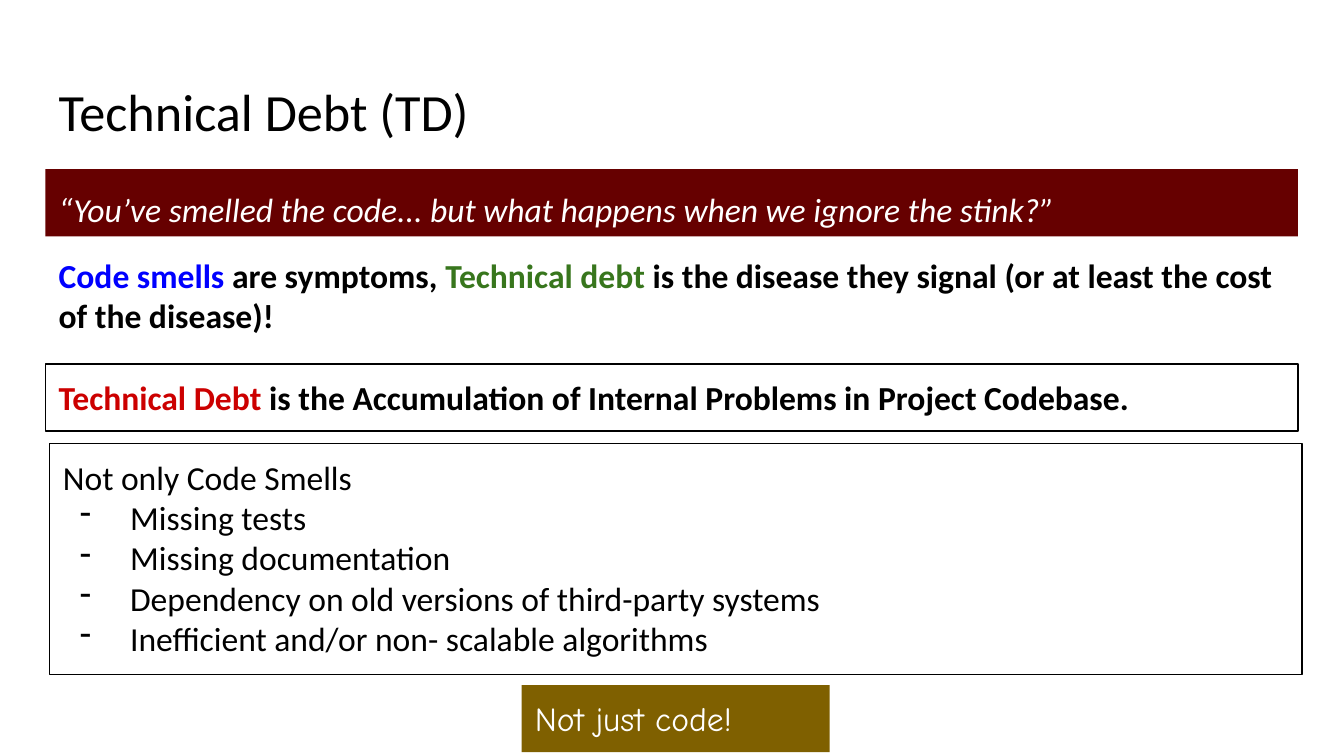
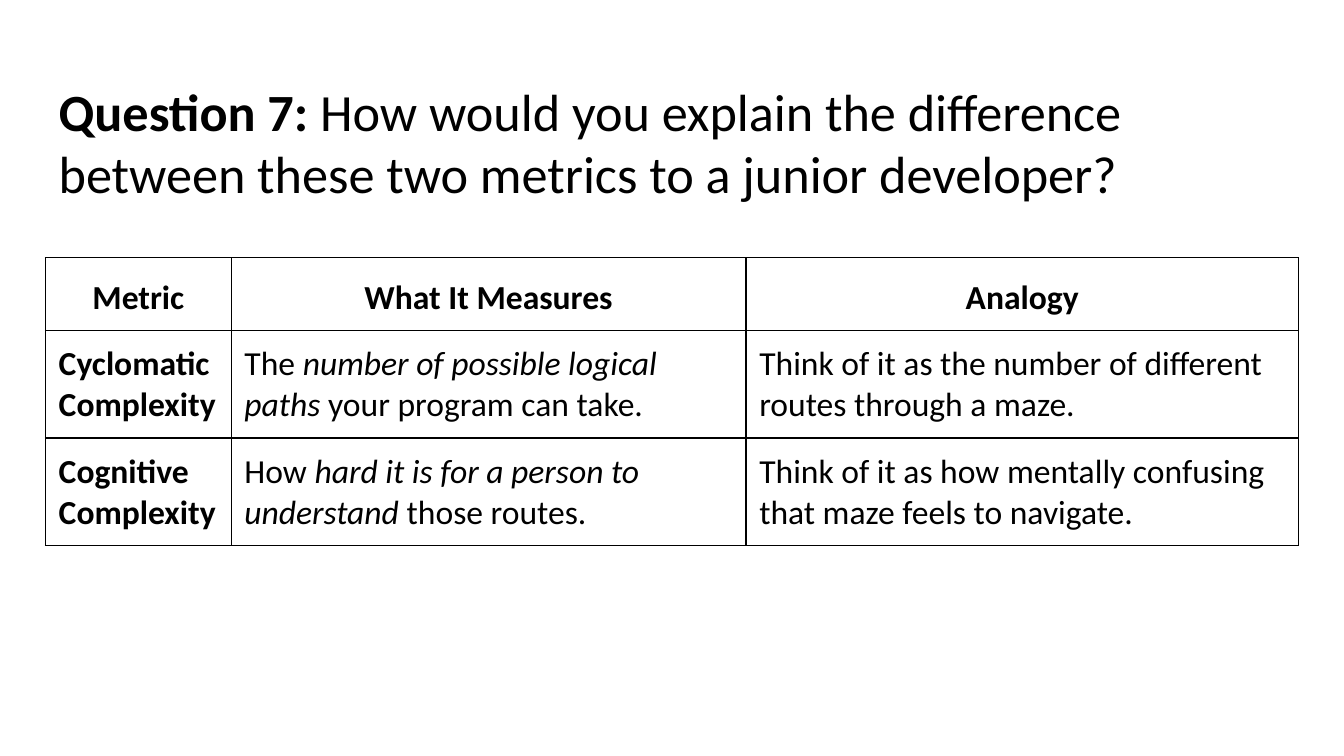
"""Build two slides on technical debt and complexity metrics."""
from lxml.etree import SubElement
from pptx import Presentation
from pptx.dml.color import RGBColor
from pptx.enum.shapes import MSO_SHAPE
from pptx.enum.text import MSO_ANCHOR, PP_ALIGN
from pptx.oxml.ns import qn
from pptx.util import Cm, Pt

BLACK = RGBColor(0x00, 0x00, 0x00)
WHITE = RGBColor(0xFF, 0xFF, 0xFF)
MAROON = RGBColor(0x66, 0x00, 0x00)
OLIVE = RGBColor(0x7F, 0x60, 0x00)
BLUE = RGBColor(0x00, 0x00, 0xFF)
GREEN = RGBColor(0x38, 0x76, 0x1D)
RED = RGBColor(0xCC, 0x00, 0x00)
FONT = "Calibri"
LEFT, WIDTH, PAD = Cm(0.86), Cm(23.67), Cm(0.25)


def write(par, runs, size=18, color=BLACK, face=FONT, **style):
    """Fill a paragraph with (text, own style) runs over a shared style."""
    font = par.font
    font.name, font.size = face, Pt(size)
    font.color.rgb = color
    for key, value in style.items():
        setattr(font, key, value)
    par.alignment = PP_ALIGN.LEFT
    for text, own in runs:
        run = par.add_run()
        run.text = text
        for key, value in own.items():
            if key == "color":
                run.font.color.rgb = value
            else:
                setattr(run.font, key, value)


def box(slide, top, height, left=LEFT, width=WIDTH, fill=None, line=None):
    """Add a padded box and return its text frame."""
    area = left, Cm(top), width, Cm(height)
    if fill is None and line is None:
        shape = slide.shapes.add_textbox(*area)
    else:
        shape = slide.shapes.add_shape(MSO_SHAPE.RECTANGLE, *area)
        shape.shadow.inherit = False
        if fill is None:
            shape.fill.background()
        else:
            shape.fill.solid()
            shape.fill.fore_color.rgb = fill
        if line is None:
            shape.line.fill.background()
        else:
            shape.line.color.rgb = line
            shape.line.width = Pt(0.75)
    frame = shape.text_frame
    frame.word_wrap = True
    frame.vertical_anchor = MSO_ANCHOR.TOP
    frame.margin_left = frame.margin_right = PAD
    frame.margin_top = frame.margin_bottom = PAD
    return frame


deck = Presentation()
deck.slide_width, deck.slide_height = Cm(25.4), Cm(14.29)
blank = deck.slide_layouts[6]

titles = [
    (1.7, [("Technical Debt (TD)", {})]),
    (2.9, [("Question 7: ", {"bold": True}),
           ("How would you explain the difference between these two "
            "metrics to a junior developer?", {})]),
]
slides = []
for height, runs in titles:
    slide = deck.slides.add_slide(blank)
    write(box(slide, 1.24, height).paragraphs[0], runs, 28)
    slides.append(slide)
debt, metrics = slides

quote = box(debt, 3.2, 1.27, fill=MAROON).paragraphs[0]
write(quote, [("“You’ve smelled the code... but what happens when we "
               "ignore the stink?”", {})], color=WHITE, italic=True)
quote.line_spacing, quote.space_after = 1.15, Pt(12)

claim = box(debt, 4.57, 2.06).paragraphs[0]
write(claim, [
    ("Code smells", {"color": BLUE}),
    (" are symptoms, ", {}),
    ("Technical debt", {"color": GREEN}),
    (" is the disease they signal (or at least the cost of the disease)!", {}),
], bold=True)

meaning = box(debt, 6.88, 1.27, line=BLACK).paragraphs[0]
write(meaning, [
    ("Technical Debt", {"color": RED}),
    (" is the Accumulation of Internal Problems in Project Codebase.", {}),
], bold=True)

causes = box(debt, 8.38, 4.37, left=Cm(0.94), line=BLACK)
write(causes.paragraphs[0], [("Not only Code Smells", {})])
for cause in ("Missing tests", "Missing documentation",
              "Dependency on old versions of third-party systems",
              "Inefficient and/or non- scalable algorithms"):
    par = causes.add_paragraph()
    props = par._p.get_or_add_pPr()
    props.set("marL", str(Cm(1.27)))
    props.set("indent", str(-Cm(0.95)))
    tint = SubElement(props, qn("a:buClr"))
    SubElement(tint, qn("a:srgbClr")).set("val", str(BLACK))
    SubElement(props, qn("a:buChar")).set("char", "-")
    write(par, [(cause, {})])

note = box(debt, 12.95, 1.27, left=Cm(9.86), width=Cm(5.82), fill=OLIVE)
write(note.paragraphs[0], [("Not just code!", {})],
      color=WHITE, face="Comic Neue")

italic = {"italic": True}
rows = [
    [[("Metric", {})], [("What It Measures", {})], [("Analogy", {})]],
    [[("Cyclomatic Complexity", {})],
     [("The ", {}), ("number of possible logical paths", italic),
      (" your program can take.", {})],
     [("Think of it as the number of different routes through a maze.", {})]],
    [[("Cognitive Complexity", {})],
     [("How ", {}), ("hard it is for a person to understand", italic),
      (" those routes.", {})],
     [("Think of it as how mentally confusing that maze feels to navigate.",
       {})]],
]
widths, heights = (3.51, 9.73, 10.44), (1.38, 2.03, 2.03)
table = metrics.shapes.add_table(
    len(rows), len(widths), LEFT, Cm(4.87), WIDTH, Cm(sum(heights))).table
table.first_row = table.horz_banding = False
for column, width in zip(table.columns, widths):
    column.width = Cm(width)
for r, row in enumerate(rows):
    table.rows[r].height = Cm(heights[r])
    for c, runs in enumerate(row):
        cell = table.cell(r, c)
        cell.margin_left = cell.margin_right = PAD
        cell.margin_top = cell.margin_bottom = PAD
        par = cell.text_frame.paragraphs[0]
        write(par, runs, bold=r == 0 or c == 0)
        if r == 0:
            par.alignment, par.line_spacing = PP_ALIGN.CENTER, 1.15
        props = cell._tc.get_or_add_tcPr()
        for side in ("lnL", "lnR", "lnT", "lnB"):
            edge = SubElement(props, qn(f"a:{side}"), w=str(Pt(0.75)))
            paint = SubElement(edge, qn("a:solidFill"))
            SubElement(paint, qn("a:srgbClr")).set("val", str(BLACK))
        cell.fill.background()

deck.save("out.pptx")
